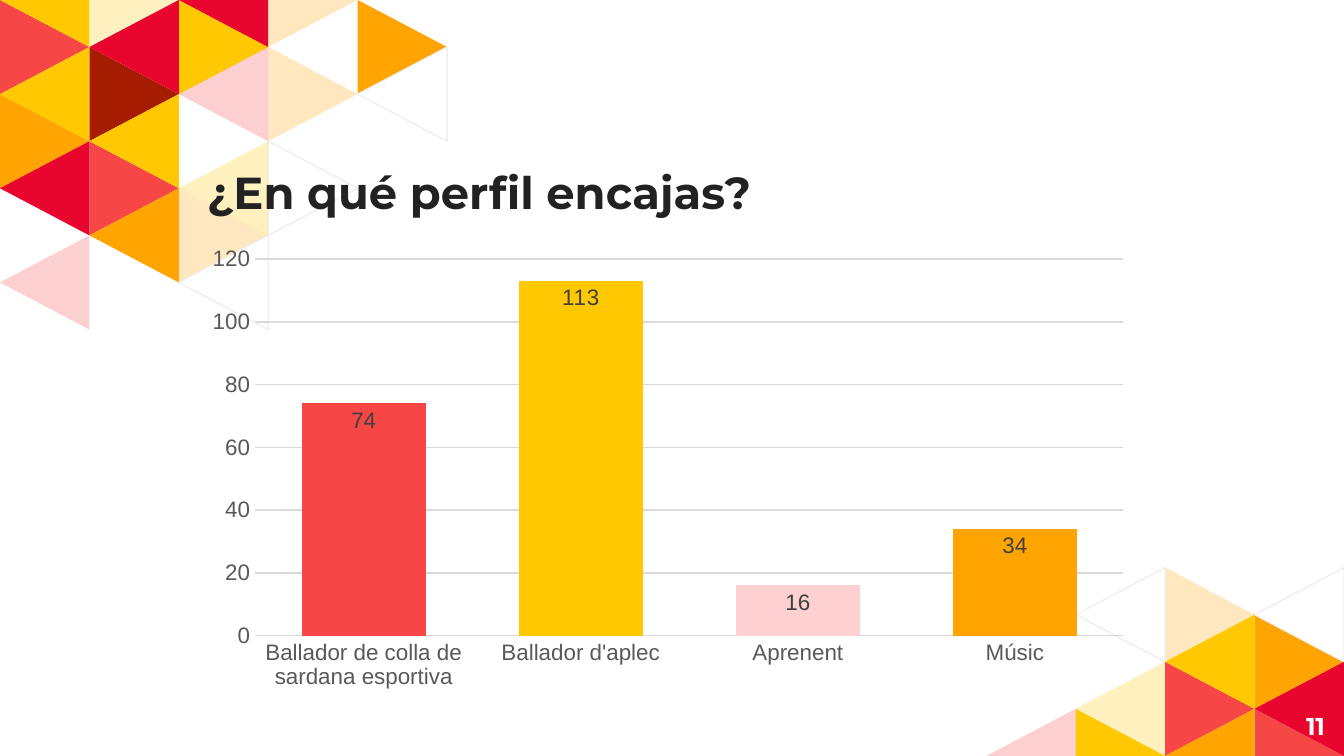
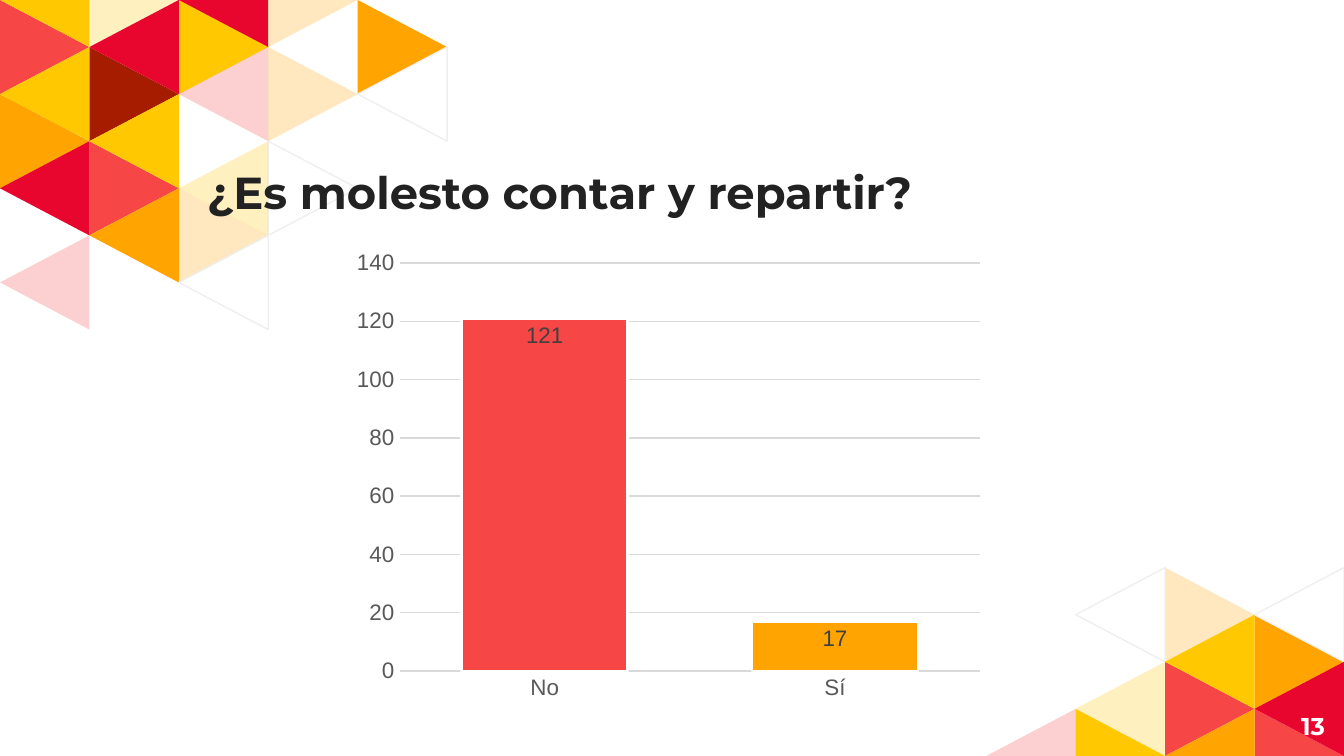
"""Build two survey slides with column charts and triangle mosaics in the corners."""
from dataclasses import dataclass

from lxml.etree import SubElement
from pptx import Presentation
from pptx.chart.data import CategoryChartData
from pptx.dml.color import RGBColor
from pptx.enum.chart import XL_CHART_TYPE, XL_LABEL_POSITION, XL_TICK_MARK
from pptx.enum.text import MSO_ANCHOR, MSO_AUTO_SIZE, PP_ALIGN
from pptx.oxml.ns import qn
from pptx.util import Cm, Pt


@dataclass(frozen=True)
class Theme:
    orange: str = "FFA400"
    yellow: str = "FFC800"
    coral: str = "F64646"
    crimson: str = "E8062F"
    brown: str = "A61C00"
    pink: str = "FDD1D1"
    white: str = "FFFFFF"
    outline: str = "EFEFEF"
    grid: str = "D9D9D9"
    title: str = "222222"
    axis: str = "595959"
    label: str = "404040"
    black: str = "000000"
    heading_font: str = "Montserrat"
    chart_font: str = "Arial"
    title_size: int = 24
    number_size: int = 13
    axis_size: int = 12
    chart_size: int = 10


theme = Theme()
SLIDE_WIDTH, SLIDE_HEIGHT = 25.4, 14.29
COLUMN_WIDTH, HALF_HEIGHT = 1.69, 0.89
OPAQUE, PALE = 100, 25

# Each triangle: column, top row, pointing direction, colour, opacity.
bottom_right_triangles = [
    (2, 0, "right", theme.orange, PALE),
    (3, 1, "right", theme.orange, OPAQUE),
    (1, 3, "right", theme.yellow, OPAQUE),
    (2, 2, "right", theme.coral, OPAQUE),
    (3, 3, "right", theme.coral, OPAQUE),
    (1, 0, "left", theme.white, OPAQUE),
    (3, 0, "left", theme.white, OPAQUE),
    (2, 1, "left", theme.yellow, OPAQUE),
    (1, 2, "left", theme.yellow, PALE),
    (2, 3, "left", theme.orange, OPAQUE),
    (3, 2, "left", theme.crimson, OPAQUE),
    (0, 3, "left", theme.coral, PALE),
]
top_left_triangles = [
    (0, 2, "right", theme.orange, OPAQUE),
    (1, 1, "right", theme.brown, OPAQUE),
    (1, 3, "right", theme.coral, OPAQUE),
    (3, 1, "right", theme.orange, PALE),
    (2, 4, "right", theme.orange, PALE),
    (3, 3, "right", theme.white, OPAQUE),
    (0, 0, "right", theme.coral, OPAQUE),
    (1, -1, "right", theme.yellow, PALE),
    (2, 0, "right", theme.yellow, OPAQUE),
    (3, -1, "right", theme.orange, PALE),
    (4, 0, "right", theme.orange, OPAQUE),
    (0, 1, "left", theme.yellow, OPAQUE),
    (1, 2, "left", theme.yellow, OPAQUE),
    (0, 3, "left", theme.crimson, OPAQUE),
    (1, 4, "left", theme.orange, OPAQUE),
    (0, 5, "left", theme.coral, PALE),
    (2, 1, "left", theme.coral, PALE),
    (2, 3, "left", theme.yellow, PALE),
    (2, 5, "left", theme.white, OPAQUE),
    (4, 1, "left", theme.white, OPAQUE),
    (0, -1, "left", theme.yellow, OPAQUE),
    (1, 0, "left", theme.crimson, OPAQUE),
    (2, -1, "left", theme.crimson, OPAQUE),
]
mosaics = [
    (SLIDE_WIDTH - 4 * COLUMN_WIDTH, SLIDE_HEIGHT - 4 * HALF_HEIGHT, bottom_right_triangles),
    (0, 0, top_left_triangles),
]
survey_slides = [
    {
        "title": "¿En qué perfil encajas?",
        "number": "11",
        "box": (3.66, 4.5, 17.93, 8.69),
        "answers": [
            ("Ballador de colla de sardana esportiva", 74, theme.coral),
            ("Ballador d'aplec", 113, theme.yellow),
            ("Aprenent", 16, theme.pink),
            ("Músic", 34, theme.orange),
        ],
        "maximum": 120,
        "bar_outline": False,
    },
    {
        "title": "¿Es molesto contar y repartir?",
        "number": "13",
        "box": (6.5, 4.57, 12.27, 8.84),
        "answers": [("No", 121, theme.coral), ("Sí", 17, theme.orange)],
        "maximum": 140,
        "bar_outline": True,
    },
]


def style_font(font, name, size, color, bold=False):
    font.name = name
    font.size = Pt(size)
    font.bold = bold
    font.color.rgb = RGBColor.from_string(color)


def add_triangle(slide, left, top, column, row, direction, color, opacity):
    near, far = (Cm(left + (column + step) * COLUMN_WIDTH) for step in (0, 1))
    base, tip = (near, far) if direction == "right" else (far, near)
    upper, middle, lower = (
        Cm(min(max(top + (row + step) * HALF_HEIGHT, 0), SLIDE_HEIGHT)) for step in (0, 1, 2)
    )
    builder = slide.shapes.build_freeform(base, upper)
    builder.add_line_segments([(tip, middle), (base, lower)], close=True)
    triangle = builder.convert_to_shape()
    triangle.shadow.inherit = False
    triangle.fill.solid()
    triangle.fill.fore_color.rgb = RGBColor.from_string(color)
    if opacity < OPAQUE:
        color_element = triangle.element.spPr.find(qn("a:solidFill"))[0]
        SubElement(color_element, qn("a:alpha")).set("val", str(opacity * 1000))
    if color == theme.white:
        triangle.line.color.rgb = RGBColor.from_string(theme.outline)
        triangle.line.width = Pt(0.75)
    else:
        triangle.line.fill.background()


presentation = Presentation()
presentation.slide_width = Cm(SLIDE_WIDTH)
presentation.slide_height = Cm(SLIDE_HEIGHT)
title_only_layout = presentation.slide_layouts[5]

for survey in survey_slides:
    slide = presentation.slides.add_slide(title_only_layout)
    for left, top, triangles in mosaics:
        for triangle_settings in triangles:
            add_triangle(slide, left, top, *triangle_settings)

    title = slide.shapes.title
    title.element.getparent().append(title.element)
    title.left, title.top, title.width, title.height = Cm(3.66), Cm(2.41), Cm(17.93), Cm(1.85)
    title.text_frame.text = survey["title"]
    title.text_frame.auto_size = MSO_AUTO_SIZE.NONE
    title.text_frame.vertical_anchor = MSO_ANCHOR.BOTTOM
    paragraph = title.text_frame.paragraphs[0]
    paragraph.alignment = PP_ALIGN.LEFT
    style_font(paragraph.runs[0].font, theme.heading_font, theme.title_size, theme.title, True)

    number_box = slide.shapes.add_textbox(Cm(23.77), Cm(13.18), Cm(1.52), Cm(1.09))
    number_box.text_frame.word_wrap = True
    number_box.text_frame.vertical_anchor = MSO_ANCHOR.MIDDLE
    number_box.text_frame.text = survey["number"]
    paragraph = number_box.text_frame.paragraphs[0]
    paragraph.alignment = PP_ALIGN.RIGHT
    style_font(paragraph.runs[0].font, theme.heading_font, theme.number_size, theme.white, True)

    categories, values, colors = zip(*survey["answers"])
    chart_data = CategoryChartData()
    chart_data.categories = categories
    chart_data.add_series("Series 1", values)
    chart = slide.shapes.add_chart(
        XL_CHART_TYPE.COLUMN_CLUSTERED, *(Cm(length) for length in survey["box"]), chart_data
    ).chart
    chart.has_title = False
    chart.has_legend = False
    style_font(chart.font, theme.chart_font, theme.chart_size, theme.black)

    for axis in (chart.category_axis, chart.value_axis):
        axis.major_tick_mark = XL_TICK_MARK.NONE
        axis.minor_tick_mark = XL_TICK_MARK.NONE
        style_font(axis.tick_labels.font, theme.chart_font, theme.axis_size, theme.axis)
    chart.value_axis.minimum_scale = 0
    chart.value_axis.maximum_scale = survey["maximum"]
    chart.value_axis.major_unit = 20
    chart.value_axis.format.line.fill.background()
    for line in (chart.category_axis.format.line, chart.value_axis.major_gridlines.format.line):
        line.color.rgb = RGBColor.from_string(theme.grid)
        line.width = Pt(0.75)

    plot = chart.plots[0]
    plot.gap_width = 75
    plot.overlap = 40
    plot.vary_by_categories = False
    series = plot.series[0]
    for index, color in enumerate(colors):
        bar_format = series.points[index].format
        bar_format.fill.solid()
        bar_format.fill.fore_color.rgb = RGBColor.from_string(color)
        if survey["bar_outline"]:
            bar_format.line.color.rgb = RGBColor.from_string(theme.white)
            bar_format.line.width = Pt(1.5)
    labels = series.data_labels
    labels.show_value = True
    labels.position = XL_LABEL_POSITION.INSIDE_END
    style_font(labels.font, theme.chart_font, theme.axis_size, theme.label)

presentation.save("out.pptx")
